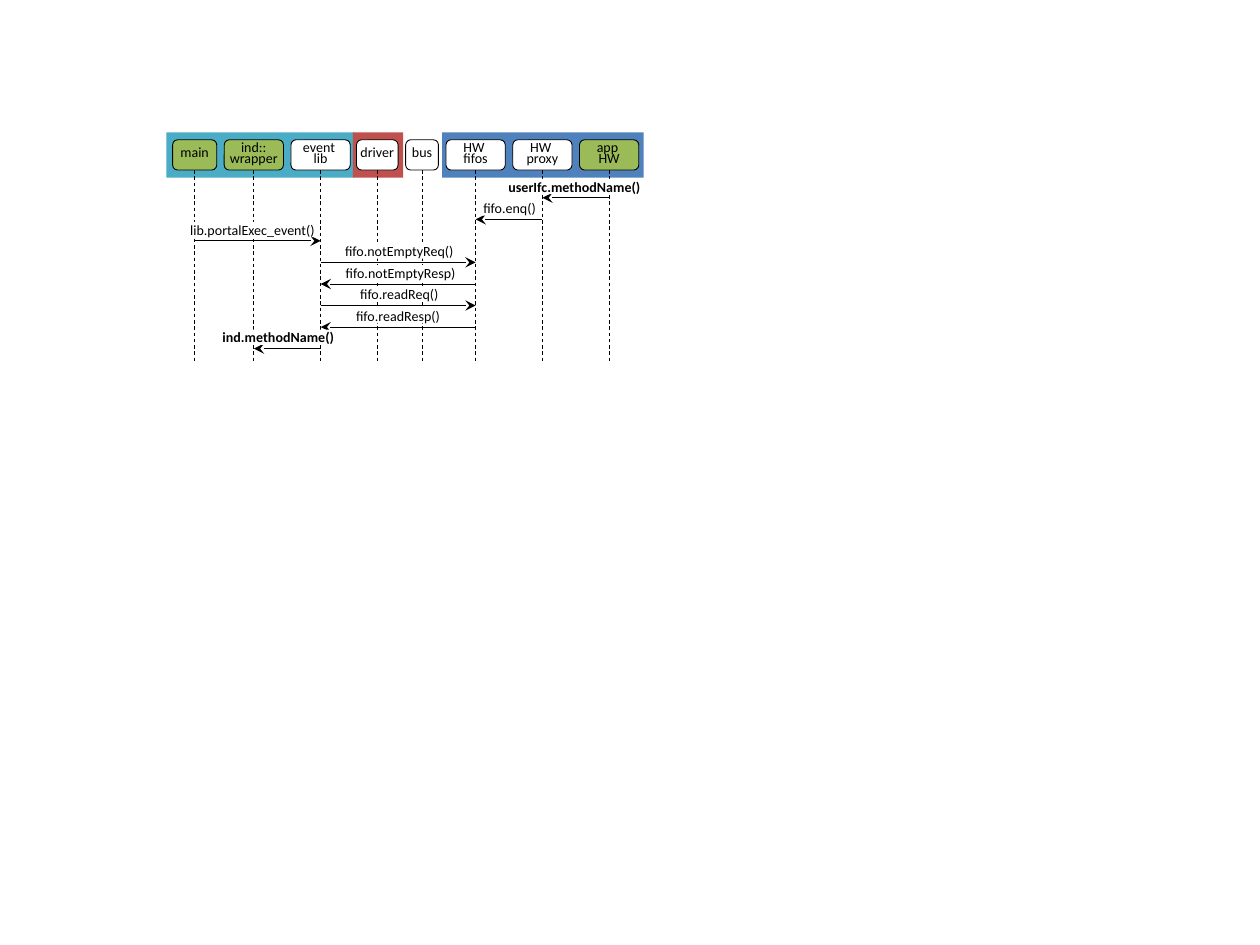
from lxml import etree
from pptx import Presentation
from pptx import util as u
from pptx.dml.color import RGBColor
from pptx.enum import dml, shapes, text
from pptx.oxml.ns import qn

COLUMNS, ROWS = 100, 75
BLACK, WHITE, GREEN = "000000", "FFFFFF", "9BBB59"
HEAD_TOP, HEAD_HEIGHT, LIFELINE_END = 11.1, 2.4, 29.1
FIRST_MESSAGE, MESSAGE_STEP = 15.7, 1.71
LABEL_RISE, LABEL_HEIGHT = 1.5, 1.2

BANDS = [(13.2, 14.9, "4BACC6"), (28, 4, "C0504D"), (35.1, 16, "4F81BD")]
ACTORS = {
    "main": ("main", 13.7, 3.5, GREEN),
    "wrapper": ("ind::\nwrapper", 17.8, 4.7, GREEN),
    "lib": ("event \nlib", 23.1, 4.7, WHITE),
    "driver": ("driver", 28.3, 3.3, WHITE),
    "bus": ("bus", 32.2, 2.6, WHITE),
    "fifos": ("HW \nfifos", 35.4, 4.7, WHITE),
    "proxy": ("HW \nproxy", 40.7, 4.7, WHITE),
    "app": ("app \nHW", 46, 4.7, GREEN),
}
MESSAGES = [
    ("app", "proxy", "userIfc.methodName()", 40.1, 11, True),
    ("proxy", "fifos", "fifo.enq()", 38.3, 4.3, False),
    ("main", "lib", "lib.portalExec_event()", 14.9, 10.3, False),
    ("lib", "fifos", "fifo.notEmptyReq()", 27.3, 8.8, False),
    ("fifos", "lib", "fifo.notEmptyResp)", 27.4, 8.8, False),
    ("lib", "fifos", "fifo.readReq()", 28.4, 6.6, False),
    ("fifos", "lib", "fifo.readResp()", 27.8, 7.6, False),
    ("lib", "wrapper", "ind.methodName()", 17.8, 8.6, True),
]


def color(value):
    return RGBColor.from_string(value)


class SequenceDiagram:
    font = {"name": "Calibri", "size": u.Pt(8)}
    frame = {
        "margin_left": 0, "margin_right": 0, "margin_top": 0, "margin_bottom": 0,
        "word_wrap": False, "vertical_anchor": text.MSO_ANCHOR.MIDDLE,
    }
    line_width = u.Pt(0.5)

    def __init__(self, deck):
        self.deck = deck
        self.page = deck.slides.add_slide(deck.slide_layouts[6])

    def x(self, columns):
        return round(self.deck.slide_width * columns / COLUMNS)

    def y(self, rows):
        return round(self.deck.slide_height * rows / ROWS)

    def apply(self, target, values):
        for name, value in values.items():
            setattr(target, name, value)

    def box(self, left, top, width, height, fill, line=None, rounded=False):
        kind = shapes.MSO_SHAPE.ROUNDED_RECTANGLE if rounded else shapes.MSO_SHAPE.RECTANGLE
        box = self.page.shapes.add_shape(
            kind, self.x(left), self.y(top), self.x(width), self.y(height))
        box.shadow.inherit = False
        box.fill.solid()
        box.fill.fore_color.rgb = color(fill)
        if line:
            box.line.color.rgb = color(line)
            box.line.width = self.line_width
        else:
            box.line.fill.background()
        return box

    def caption(self, box, words, bold=False, spacing=None):
        frame = box.text_frame
        self.apply(frame, self.frame)
        for index, words_line in enumerate(words.split("\n")):
            para = frame.add_paragraph() if index else frame.paragraphs[0]
            self.apply(para, {"alignment": text.PP_ALIGN.CENTER, "line_spacing": spacing})
            span = para.add_run()
            span.text = words_line
            self.apply(span.font, {**self.font, "bold": bold})
            span.font.color.rgb = color(BLACK)

    def connector(self, start_x, start_y, end_x, end_y):
        line = self.page.shapes.add_connector(
            shapes.MSO_CONNECTOR.STRAIGHT,
            self.x(start_x), self.y(start_y), self.x(end_x), self.y(end_y))
        line.line.color.rgb = color(BLACK)
        line.line.width = self.line_width
        etree.SubElement(line._element.spPr, qn("a:effectLst"))
        return line

    def actor(self, name, left, width, fill):
        box = self.box(left, HEAD_TOP, width, HEAD_HEIGHT, fill, BLACK, True)
        self.caption(box, name, spacing=u.Pt(6.6))
        center = left + width / 2
        lifeline = self.connector(center, HEAD_TOP + HEAD_HEIGHT, center, LIFELINE_END)
        lifeline.begin_connect(box, 2)
        lifeline.line.dash_style = dml.MSO_LINE.DASH
        return center

    def arrow(self, start, end, row):
        arrow = self.connector(start, row, end, row)
        outline = arrow._element.spPr.find(qn("a:ln"))
        etree.SubElement(outline, qn("a:tailEnd"), type="stealth")

    def label(self, words, left, width, row, bold):
        box = self.box(left, row - LABEL_RISE, width, LABEL_HEIGHT, WHITE)
        self.caption(box, words, bold)


def main():
    deck = Presentation()
    deck.slide_width, deck.slide_height = u.Inches(10), u.Inches(7.5)
    diagram = SequenceDiagram(deck)
    for left, width, fill in BANDS:
        diagram.box(left, 10.5, width, 3.6, fill)
    centers = {key: diagram.actor(*actor) for key, actor in ACTORS.items()}
    for index, (sender, receiver, words, left, width, bold) in enumerate(MESSAGES):
        row = FIRST_MESSAGE + index * MESSAGE_STEP
        diagram.arrow(centers[sender], centers[receiver], row)
        diagram.label(words, left, width, row, bold)
    diagram.box(13.7, 28.9, 36.3, 0.5, WHITE, WHITE)
    deck.save("out.pptx")


if __name__ == "__main__":
    main()
